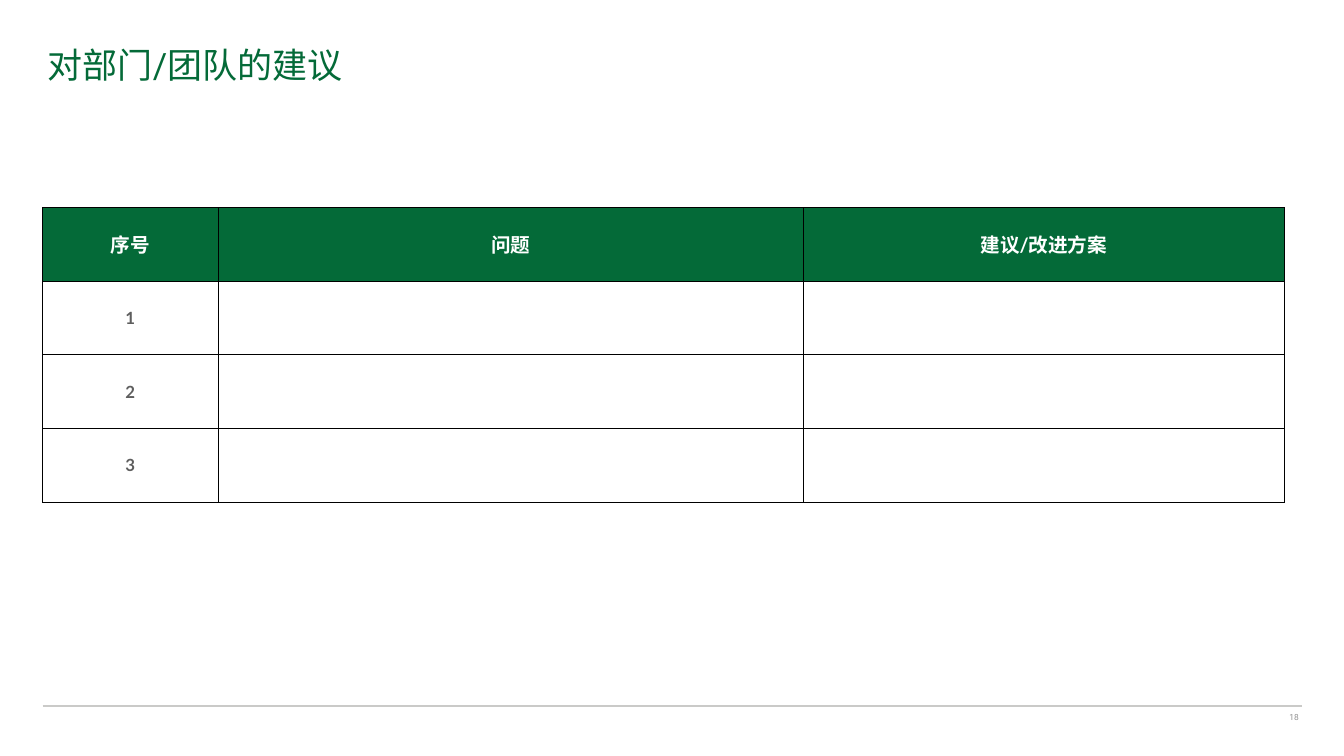
from dataclasses import dataclass

from lxml.etree import SubElement
from pptx import Presentation
from pptx.dml.color import RGBColor as Rgb
from pptx.enum.shapes import MSO_CONNECTOR as Link
from pptx.enum.text import MSO_ANCHOR as Anchor, PP_ALIGN as Align
from pptx.oxml.ns import qn
from pptx.util import Cm, Pt

GREEN, WHITE, BLACK = "046A38", "FFFFFF", "000000"
GREY, PALE, RULE = "5E5E5E", "929292", "CACAC8"
LEFT, WIDE = 2.15, 63.46
ROW = 3.71


@dataclass
class Column:
    head: str
    width: float


@dataclass
class Style:
    font: str
    size: float
    color: str
    bold: bool = False
    align: Align = Align.LEFT


COLUMNS = [Column("序号", 8.84), Column("问题", 29.49), Column("建议/改进方案", 24.26)]
ITEMS = ["1", "2", "3"]
TITLE = Style("Roboto", 50, GREEN)
NUMBER = Style("Roboto", 12, PALE, align=Align.RIGHT)
HEAD = Style("Lato", 28, WHITE, True, Align.CENTER)
BODY = Style("Lato", 24, GREY, True, Align.CENTER)


def paint(color: str) -> Rgb:
    return Rgb.from_string(color)


def write(frame, text: str, style: Style) -> None:
    frame.text = text
    for par in frame.paragraphs:
        par.alignment = style.align
        for run in par.runs:
            font = run.font
            font.name, font.size, font.bold = style.font, Pt(style.size), style.bold
            font.color.rgb = paint(style.color)


def border(cell, color: str, width: float) -> None:
    props = cell._tc.get_or_add_tcPr()
    for spot, side in enumerate(("lnL", "lnR", "lnT", "lnB")):
        line = props.makeelement(qn(f"a:{side}"), {"w": str(Pt(width))})
        fill = SubElement(line, qn("a:solidFill"))
        SubElement(fill, qn("a:srgbClr"), val=color)
        props.insert(spot, line)  # borders come before the fill


def add_title(slide, text: str) -> None:
    title = slide.shapes.title
    title.left, title.top = Cm(LEFT), Cm(1.75)
    title.width, title.height = Cm(WIDE), Cm(2.97)
    title.text_frame.vertical_anchor = Anchor.MIDDLE
    write(title.text_frame, text, TITLE)


def add_grid(slide) -> None:
    count = len(ITEMS) + 1
    width = sum(col.width for col in COLUMNS)
    table = slide.shapes.add_table(
        count, len(COLUMNS), Cm(LEFT), Cm(10.46), Cm(width), Cm(ROW * count)
    ).table
    table.horz_banding = False
    for row in table.rows:
        row.height = Cm(ROW)
    for c, col in enumerate(COLUMNS):
        table.columns[c].width = Cm(col.width)
        texts = [col.head] + (ITEMS if c == 0 else [""] * len(ITEMS))
        for r, text in enumerate(texts):
            cell = table.cell(r, c)
            cell.vertical_anchor = Anchor.MIDDLE
            if r == 0:
                cell.fill.solid()
                cell.fill.fore_color.rgb = paint(GREEN)
            else:
                cell.fill.background()
            border(cell, BLACK, 1)
            if text:
                write(cell.text_frame, text, BODY if r else HEAD)


def add_footer(slide, number: str) -> None:
    right = LEFT + WIDE
    rule = slide.shapes.add_connector(
        Link.STRAIGHT, Cm(LEFT), Cm(35.58), Cm(right), Cm(35.58)
    )
    rule.line.color.rgb = paint(RULE)
    rule.line.width = Pt(2)
    SubElement(rule._element.spPr, qn("a:effectLst"))
    box = slide.shapes.add_textbox(Cm(right - 7.6), Cm(35.76), Cm(7.6), Cm(0.8))
    frame = box.text_frame
    frame.word_wrap = True
    frame.margin_left = frame.margin_right = Cm(0.15)
    frame.margin_top = frame.margin_bottom = Cm(0.15)
    write(frame, number, NUMBER)


def main() -> None:
    deck = Presentation()
    deck.slide_width, deck.slide_height = Cm(67.74), Cm(38.1)
    slide = deck.slides.add_slide(deck.slide_layouts[5])  # title only
    add_footer(slide, "18")
    add_title(slide, "对部门/团队的建议")
    add_grid(slide)
    deck.save("out.pptx")


if __name__ == "__main__":
    main()
